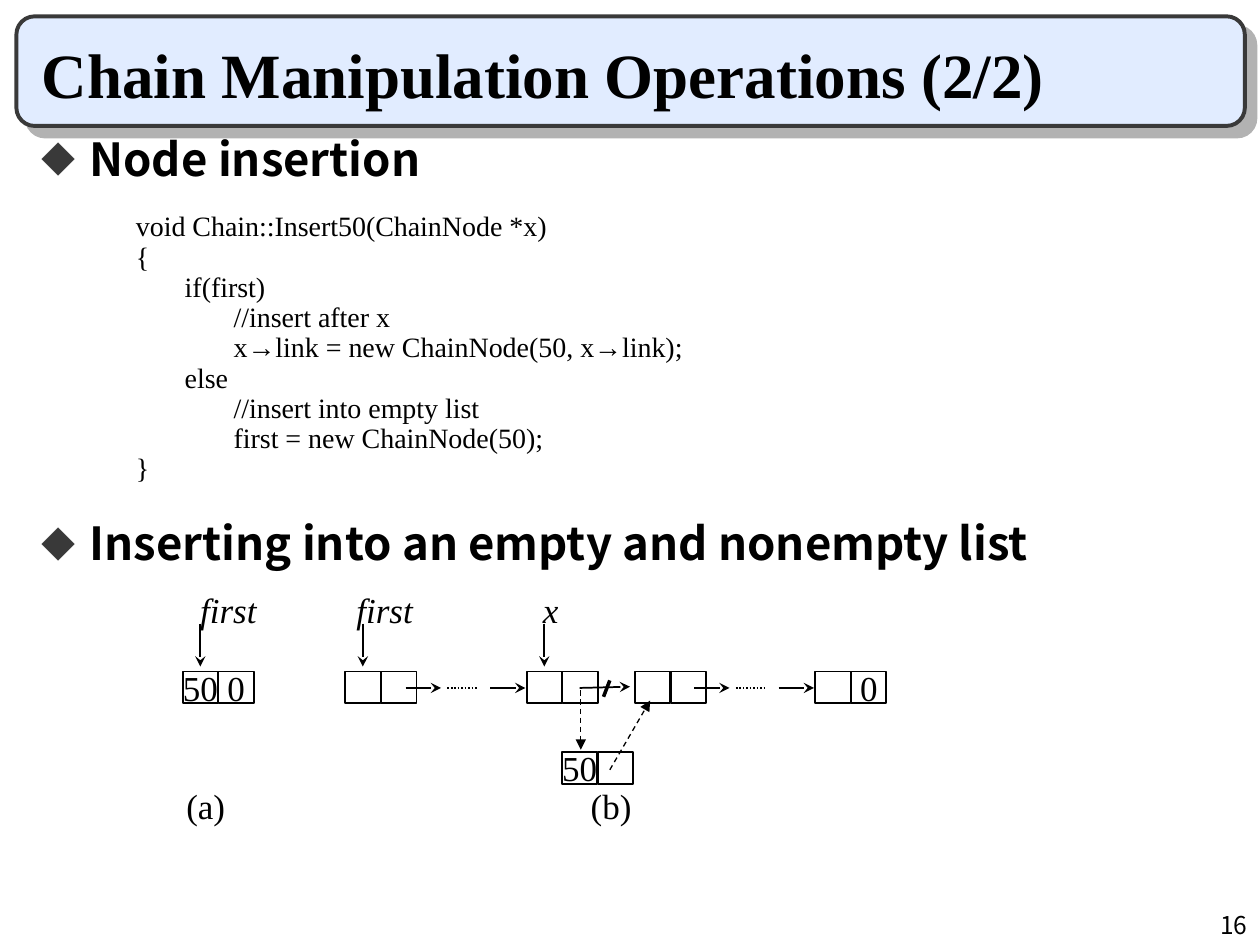
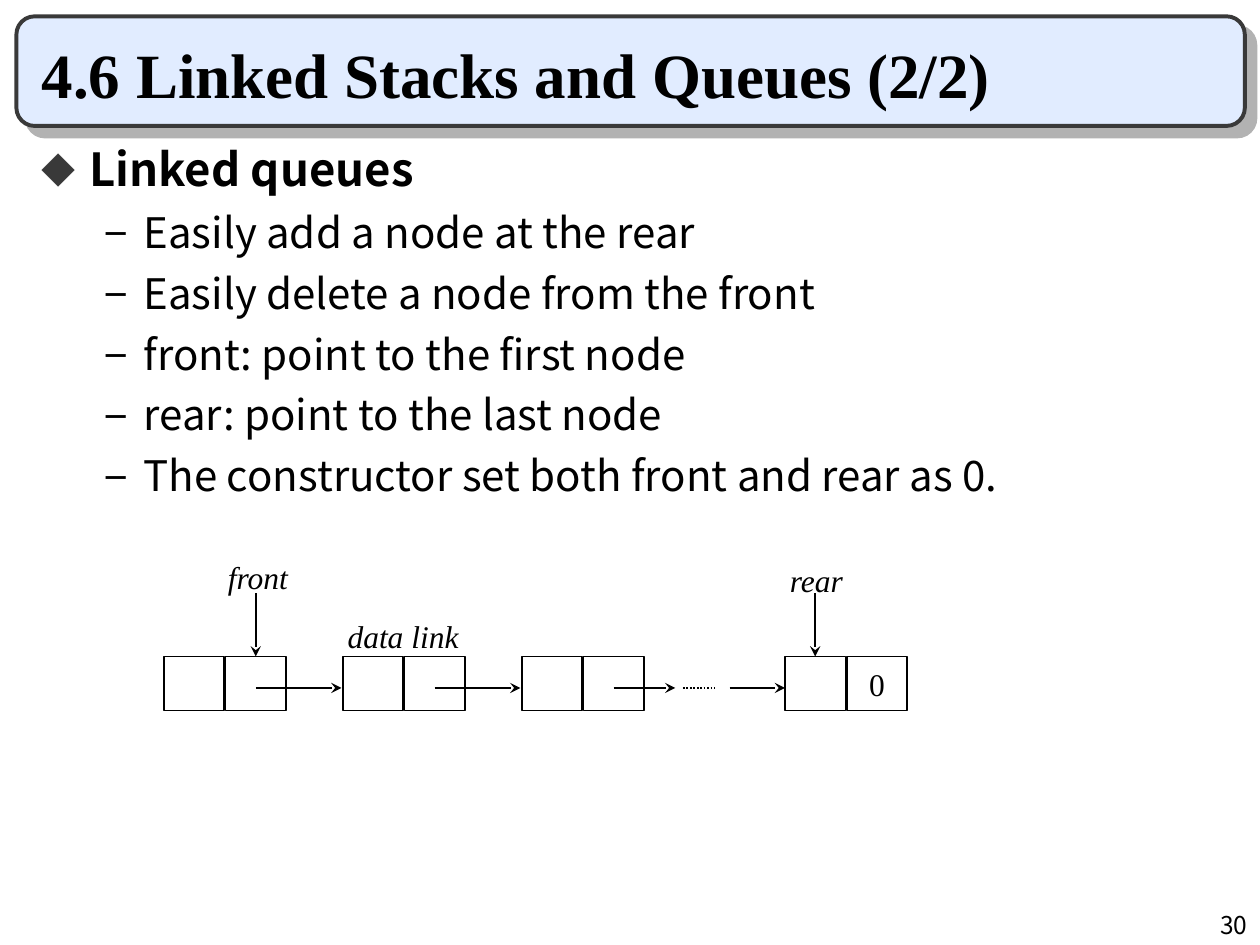
from lxml import etree
from pptx import Presentation
from pptx.dml.color import RGBColor
from pptx.enum.dml import MSO_LINE
from pptx.enum.shapes import MSO_CONNECTOR, MSO_SHAPE
from pptx.enum.text import MSO_ANCHOR, MSO_AUTO_SIZE, PP_ALIGN
from pptx.oxml import parse_xml
from pptx.oxml.ns import nsdecls, qn
from pptx.util import Inches, Pt

LEFT, CENTER, RIGHT = PP_ALIGN.LEFT, PP_ALIGN.CENTER, PP_ALIGN.RIGHT
TOP, MIDDLE, BOTTOM = MSO_ANCHOR.TOP, MSO_ANCHOR.MIDDLE, MSO_ANCHOR.BOTTOM
DOTTED, DASHED = MSO_LINE.ROUND_DOT, MSO_LINE.DASH
SERIF, SANS = "Times New Roman", "Noto Sans CJK KR"
BLACK, DARK, PALE, SHADE = "000000", "393939", "E1ECFF", "B2B2B2"

CODE = """void Chain::Insert50(ChainNode *x)
{
       if(first)
              //insert after x
              x→link = new ChainNode(50, x→link);
       else
              //insert into empty list
              first = new ChainNode(50);
}"""


def write(frame, text, size=20, font=SERIF, color=BLACK, bold=False, italic=False,
          align=LEFT, anchor=TOP, wrap=True, spacing=None, before=0):
    """Add one paragraph to the frame, using its empty first paragraph if there is one."""
    frame.auto_size = MSO_AUTO_SIZE.NONE
    frame.word_wrap = wrap
    frame.vertical_anchor = anchor
    paragraph = frame.add_paragraph() if frame.text else frame.paragraphs[0]
    paragraph.alignment = align
    paragraph.line_spacing = spacing
    paragraph.space_before = Pt(before)
    run = paragraph.add_run()
    run.text = text
    run.font.size = Pt(size)
    run.font.name = font
    run.font.bold = bold
    run.font.italic = italic
    run.font.color.rgb = RGBColor.from_string(color)
    return paragraph


def draw_line(slide, x1, y1, x2, y2, weight=1, dash=None, head=None):
    line = slide.shapes.add_connector(
        MSO_CONNECTOR.STRAIGHT, Inches(x1), Inches(y1), Inches(x2), Inches(y2))
    line.line.color.rgb = RGBColor.from_string(BLACK)
    line.line.width = Pt(weight)
    if dash:
        line.line.dash_style = dash
    if head:
        etree.SubElement(line.line._get_or_add_ln(), qn("a:tailEnd"), type=head)
    etree.SubElement(line._element.spPr, qn("a:effectLst"))


# Points: text, level, space before, line spacing
# Nodes: left, top, data field, link field
# Labels: text, left, top, width, italic
PAGES = [
    dict(
        title="Chain Manipulation Operations (2/2)", number="16",
        points=[("Node insertion", 0, 0, 0.8),
                ("Inserting into an empty and nonempty list", 0, 195, 0.8)],
        cell=(0.28, 0.25), step=0.285, size=20,
        nodes=[(1.45, 5.33, "50", "0"), (2.74, 5.33, "", ""), (4.18, 5.33, "", ""),
               (5.04, 5.33, "", ""), (6.47, 5.33, "", "0"), (4.46, 5.97, "50", "")],
        arrows=[(x, 4.95, x, 5.29) for x in (1.59, 2.88, 4.32)]
        + [(x, 5.46, x + 0.28, 5.46) for x in (3.22, 3.89, 5.51, 6.18)]
        + [(4.6, 5.46, 5, 5.45)],
        dots=[(3.55, 5.46, 3.79, 5.46), (5.84, 5.46, 6.08, 5.46)],
        labels=[("first", 1.49, 4.62, 0.65, True), ("first", 2.73, 4.62, 0.65, True),
                ("x", 4.21, 4.62, 0.33, True), ("(b)", 4.59, 6.18, 0.53, False),
                ("(a)", 1.38, 6.18, 0.51, False)]),
    dict(
        title="4.6 Linked Stacks and Queues (2/2)", number="30",
        points=[("Linked queues", 0, 0, None)]
        + [(text, 1, 6, None) for text in (
            "Easily add a node at the rear",
            "Easily delete a node from the front",
            "front: point to the first node",
            "rear: point to the last node",
            "The constructor set both front and rear as 0.")],
        cell=(0.48, 0.43), step=0.49, size=18,
        nodes=[(1.3, 5.21, "", ""), (2.72, 5.21, "", ""),
               (4.14, 5.21, "", ""), (6.23, 5.21, "", "0")],
        arrows=[(x, 4.71, x, 5.21) for x in (2.03, 6.47)]
        + [(x1, 5.46, x2, 5.46) for x1, x2 in (
            (2.03, 2.71), (3.45, 4.13), (4.87, 5.36), (5.79, 6.23))],
        dots=[(5.42, 5.46, 5.67, 5.46)],
        labels=[("data link", 2.66, 4.85, 1.08, True), ("front", 1.71, 4.38, 0.69, True),
                ("rear", 6.17, 4.4, 0.74, True)]),
]
# Per level: size, bold, left margin, hanging indent, bullet, bullet colour, bullet size %
LEVELS = [(26, True, 0.38, 0.38, "◆", DARK, 75),
          (24, False, 0.81, 0.31, "−", BLACK, 100)]

deck = Presentation()
deck.slide_width, deck.slide_height = Inches(10), Inches(7.5)

for page in PAGES:
    slide = deck.slides.add_slide(deck.slide_layouts[1])
    shapes = slide.shapes

    # Title band, behind everything else
    band = shapes.add_shape(MSO_SHAPE.ROUNDED_RECTANGLE,
                            Inches(0.13), Inches(0.13), Inches(9.75), Inches(0.87))
    band.fill.solid()
    band.fill.fore_color.rgb = RGBColor.from_string(PALE)
    band.line.color.rgb = RGBColor.from_string(DARK)
    band.line.width = Pt(2.25)
    band._element.spPr.append(parse_xml(
        f'<a:effectLst {nsdecls("a")}><a:outerShdw dist="{Pt(8.5)}" dir="2700000" '
        f'algn="ctr" rotWithShape="0"><a:srgbClr val="{SHADE}"/></a:outerShdw></a:effectLst>'))
    shapes._spTree.insert(2, band._element)

    title, body = shapes.title, slide.placeholders[1]
    for holder, top, height in ((title, 0.25, 0.67), (body, 1.08, 5.83)):
        holder.left, holder.top = Inches(0.25), Inches(top)
        holder.width, holder.height = Inches(9.42), Inches(height)
        frame = holder.text_frame
        frame.margin_left = frame.margin_right = Inches(0.08)
        frame.margin_top = frame.margin_bottom = Inches(0.04)
    write(title.text_frame, page["title"], size=36, bold=True, anchor=BOTTOM)

    for text, level, before, spacing in page["points"]:
        size, bold, margin, hanging, mark, mark_color, mark_size = LEVELS[level]
        point = write(body.text_frame, text, size=size, font=SANS, bold=bold,
                      before=before, spacing=spacing)
        point.level = level
        props = point._p.get_or_add_pPr()
        props.set("marL", str(Inches(margin)))
        props.set("indent", str(-Inches(hanging)))
        color = etree.SubElement(props, qn("a:buClr"))
        etree.SubElement(color, qn("a:srgbClr"), val=mark_color)
        etree.SubElement(props, qn("a:buSzPct"), val=str(mark_size * 1000))
        etree.SubElement(props, qn("a:buFont"), typeface=SANS)
        etree.SubElement(props, qn("a:buChar"), char=mark)

    number = shapes.add_textbox(Inches(7.92), Inches(7.17), Inches(2.08), Inches(0.33))
    write(number.text_frame, page["number"], size=14, font=SANS, align=RIGHT)

    # Linked list diagram
    width, height = page["cell"]
    for left, top, *fields in page["nodes"]:
        for column, value in enumerate(fields):
            cell = shapes.add_shape(
                MSO_SHAPE.RECTANGLE, Inches(left + column * page["step"]), Inches(top),
                Inches(width), Inches(height))
            cell.shadow.inherit = False
            cell.fill.background()
            cell.line.color.rgb = RGBColor.from_string(BLACK)
            cell.line.width = Pt(1)
            if value:
                write(cell.text_frame, value, size=page["size"], align=CENTER,
                      anchor=MIDDLE, wrap=False)
    for ends in page["arrows"]:
        draw_line(slide, *ends, head="stealth")
    for ends in page["dots"]:
        draw_line(slide, *ends, dash=DOTTED)
    for text, left, top, label_width, italic in page["labels"]:
        label = shapes.add_textbox(Inches(left), Inches(top), Inches(label_width), Inches(0.42))
        write(label.text_frame, text, size=page["size"], italic=italic, wrap=False)

# Insertion slide only: code, cut link and new links
insertion = deck.slides[0]
code = insertion.shapes.add_textbox(Inches(0.98), Inches(1.64), Inches(8.41), Inches(2.26))
for code_line in CODE.split("\n"):
    write(code.text_frame, code_line, size=16, spacing=0.9)
draw_line(insertion, 4.84, 5.4, 4.79, 5.53, weight=2)
for new_link in ((4.61, 5.48, 4.61, 5.95), (4.84, 6.11, 5.16, 5.56)):
    draw_line(insertion, *new_link, weight=0.75, dash=DASHED, head="triangle")

deck.save("out.pptx")
